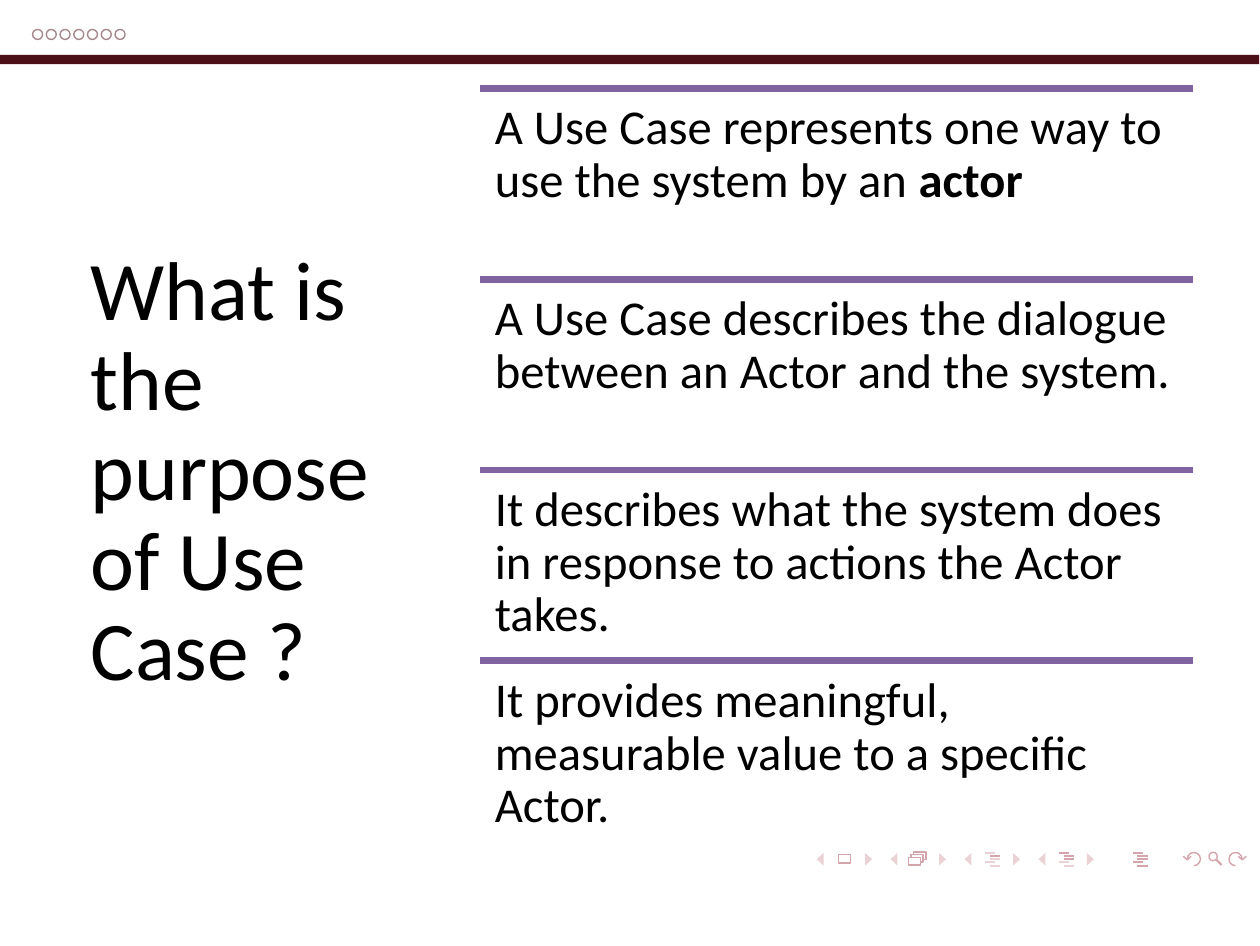
from math import cos, radians, sin

from lxml import etree
from pptx import Presentation
from pptx import util as u
from pptx.dml.color import RGBColor
from pptx.enum import shapes, text
from pptx.oxml.ns import qn

Pt = u.Pt
COLORS = {
    "band": "4B0F18",
    "dots": "A5878B",
    "nav": "D5A5AC",
    "nav_pale": "EAD2D5",
    "rule": "8064A2",
    "text": "000000",
}
FONT = "Calibri"
POINTS = [
    [("A Use Case represents one way to use the system by an ", False), ("actor", True)],
    [("A Use Case describes the dialogue between an Actor and the system.", False)],
    [("It describes what the system does in response to actions the Actor takes.", False)],
    [("It provides meaningful, measurable value to a speciﬁc Actor.", False)],
]


def paint(sp, fill=None, line=None, width=0.4):
    sp.shadow.inherit = False
    if fill:
        sp.fill.solid()
        sp.fill.fore_color.rgb = RGBColor.from_string(COLORS[fill])
    else:
        sp.fill.background()
    if line:
        sp.line.color.rgb = RGBColor.from_string(COLORS[line])
        sp.line.width = Pt(width)
    else:
        sp.line.fill.background()


def draw(paths, closed=False, **style):
    """Draw one freeform from lists of (x, y) in points."""
    fb = None
    for path in paths:
        start, *rest = [(Pt(x), Pt(y)) for x, y in path]
        if fb is None:
            fb = slide.shapes.build_freeform(*start, scale=1.0)
        else:
            fb.move_to(*start)
        fb.add_line_segments(rest, close=closed)
    paint(fb.convert_to_shape(), **style)


prs = Presentation()
prs.slide_width, prs.slide_height = Pt(363), Pt(272.5)
slide = prs.slides.add_slide(prs.slide_layouts[5])

# Header: progress dots and band
for i in range(7):
    sp = slide.shapes.add_shape(
        shapes.MSO_SHAPE.OVAL, Pt(9.4 + 3.96 * i), Pt(8.5), Pt(2.9), Pt(2.9))
    paint(sp, line="dots")
band = slide.shapes.add_shape(
    shapes.MSO_SHAPE.RECTANGLE, 0, Pt(15.8), Pt(362.83), Pt(2.7))
paint(band, fill="band")

# Navigation: five icons at an equal step, the first four between triangles
nav_y = 247.5
icon_x = [243.3 + 21.3 * i for i in range(5)]
for x in icon_x[:4]:
    draw([[(x + side * 6, nav_y - 1.8), (x + side * 6, nav_y + 1.8), (x + side * 8, nav_y)]
          for side in (-1, 1)], closed=True, fill="nav_pale")

frame = slide.shapes.add_shape(
    shapes.MSO_SHAPE.RECTANGLE, Pt(icon_x[0] - 1.8), Pt(246.1), Pt(3.6), Pt(2.5))
paint(frame, line="nav")

left, right, top, bottom = icon_x[1] - 2.9, icon_x[1] + 0.6, 247, 249.2
stack = [[(left, top), (right, top), (right, bottom), (left, bottom), (left, top)]]
for k in (1, 2):
    d = 0.8 * k
    stack.append([(left + d, top - d + 0.8), (left + d, top - d), (right + d, top - d),
                  (right + d, bottom - d), (right + d - 0.8, bottom - d)])
draw(stack, line="nav")

for x, dark_rows in zip(icon_x[2:], [(1,), (0, 1, 2), (0, 1, 2, 3, 4)]):
    bars = {"nav": [], "nav_pale": []}
    for row in range(5):
        start = x - (2 if row in (0, 3) else 0.8)
        y = nav_y + 0.93 * (row - 2)
        bars["nav" if row in dark_rows else "nav_pale"].append([(start, y), (start + 2.9, y)])
    for color, rows in bars.items():
        if rows:
            draw(rows, line=color, width=0.6)

lens = slide.shapes.add_shape(
    shapes.MSO_SHAPE.OVAL, Pt(348.3), Pt(245.5), Pt(2.4), Pt(2.4))
paint(lens, line="nav")
draw([[(350.4, 247.6), (352, 249.2)]], line="nav", width=0.6)

# Undo and redo arrows mirror each other
arc = [(1.9 * cos(radians(a)), 1.9 * sin(radians(a))) for a in range(90, -181, -30)]
head = [(-3.1, -0.8), (-1.9, 0.2), (-0.8, -0.8)]
for center, side in [(344, 1), (356, -1)]:
    draw([[(center + side * x, nav_y + y) for x, y in path] for path in (arc, head)], line="nav")

# Title
title = slide.shapes.title
title.left, title.top, title.width, title.height = Pt(18.9), Pt(25.4), Pt(101.5), Pt(221.8)
tf = title.text_frame
tf.text = "What is the purpose of Use Case ?"
tf.word_wrap = True
tf.auto_size = text.MSO_AUTO_SIZE.NONE
tf.vertical_anchor = text.MSO_ANCHOR.MIDDLE
p = tf.paragraphs[0]
p.alignment = text.PP_ALIGN.LEFT
p.line_spacing = 0.9
p.font.size, p.font.name = Pt(24), FONT
p.font.color.rgb = RGBColor.from_string(COLORS["text"])

# Answers, each under a rule
list_left, list_width, row_height = 138.4, 205.4, 55
for i, runs in enumerate(POINTS):
    y = 25.4 + row_height * i
    rule = slide.shapes.add_connector(
        shapes.MSO_CONNECTOR.STRAIGHT, Pt(list_left), Pt(y), Pt(list_left + list_width), Pt(y))
    rule.line.color.rgb = RGBColor.from_string(COLORS["rule"])
    rule.line.width = Pt(2)
    etree.SubElement(rule._element.spPr, qn("a:effectLst"))

    box = slide.shapes.add_textbox(Pt(list_left), Pt(y), Pt(list_width), Pt(row_height))
    tf = box.text_frame
    tf.word_wrap = True
    tf.margin_left = tf.margin_right = tf.margin_top = tf.margin_bottom = Pt(4.2)
    p = tf.paragraphs[0]
    p.line_spacing = 0.9
    p.font.size, p.font.name = Pt(14), FONT
    p.font.color.rgb = RGBColor.from_string(COLORS["text"])
    for words, bold in runs:
        r = p.add_run()
        r.text = words
        if bold:
            r.font.bold = True

prs.save("out.pptx")
